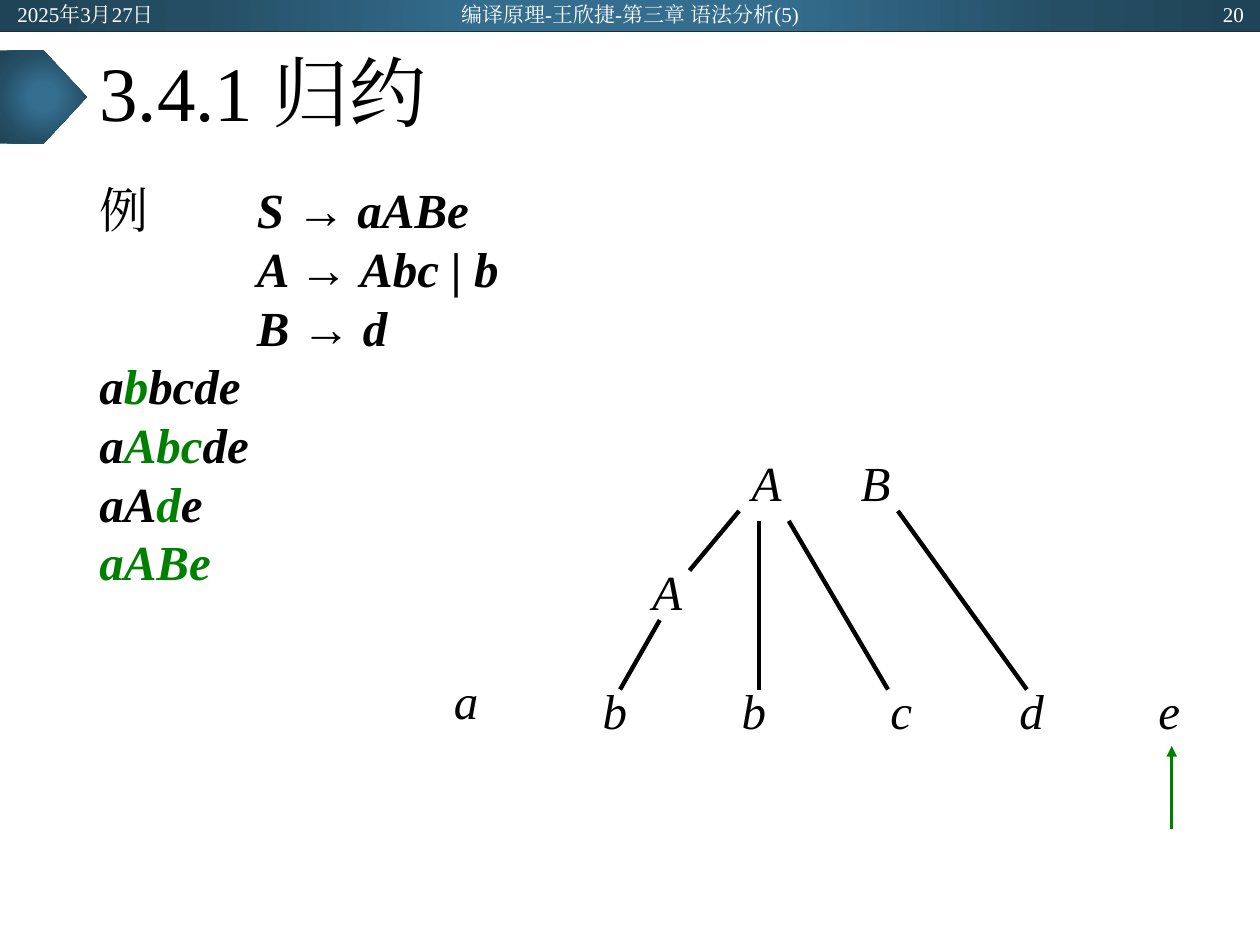
from lxml import etree
from pptx import Presentation
from pptx.dml.color import RGBColor
from pptx.enum.shapes import MSO_CONNECTOR, MSO_SHAPE
from pptx.enum.text import MSO_ANCHOR, PP_ALIGN
from pptx.oxml import parse_xml
from pptx.oxml.ns import nsdecls, qn
from pptx.util import Cm, Inches, Pt

BLACK = RGBColor(0, 0, 0)
WHITE = RGBColor(255, 255, 255)
GREEN = RGBColor(0, 0x80, 0)
NAVY = RGBColor(0x22, 0x2A, 0x35)
GLOW = [(0, RGBColor(0x34, 0x6D, 0x8E)), (23, RGBColor(0x34, 0x6D, 0x8E)),
        (69, RGBColor(0x25, 0x4E, 0x64)), (97, RGBColor(0x20, 0x44, 0x57))]
FACE = "Times New Roman"
CELL = Cm(0.2)  # side of one grid square of the tree

deck = Presentation()
deck.slide_width, deck.slide_height = Inches(10), Inches(7.5)
slide = deck.slides.add_slide(deck.slide_layouts[6])
shapes = slide.shapes
W, H = deck.slide_width, deck.slide_height


def add_text(box, lines, look, form, frame):
    """Add a text box; each line is a list of (text, changes to look)."""
    body = shapes.add_textbox(*[int(n) for n in box]).text_frame
    for key, val in {"word_wrap": True, **frame}.items():
        setattr(body, key, val)
    for row, line in enumerate(lines):
        para = body.add_paragraph() if row else body.paragraphs[0]
        for key, val in form.items():
            setattr(para, key, val)
        for text, change in line:
            run = para.add_run()
            run.text = text
            style = {"name": FACE, "color": BLACK, **look, **change}
            run.font.color.rgb = style.pop("color")
            for key, val in style.items():
                setattr(run.font, key, val)
            east = etree.SubElement(run.font._element, qn("a:ea"))
            east.set("typeface", FACE)
    return body


def add_line(ends, color, width):
    line = shapes.add_connector(MSO_CONNECTOR.STRAIGHT, *[int(n) for n in ends])
    line.line.color.rgb = color
    line.line.width = Pt(width)
    etree.SubElement(line._element.spPr, qn("a:effectLst"))
    return line


# Header band and title marker, lit from the centre
stops = "".join(f'<a:gs pos="{at * 1000}"><a:srgbClr val="{color}"/></a:gs>'
                for at, color in GLOW)
for kind, box in [(MSO_SHAPE.RECTANGLE, (0, 0, W, H / 30)),
                  (MSO_SHAPE.PENTAGON, (0, Inches(0.4), Inches(0.69), Inches(0.74)))]:
    shape = shapes.add_shape(kind, *[int(n) for n in box])
    shape.shadow.inherit = False
    shape.line.fill.background()
    shape._element.spPr.find(qn("a:prstGeom")).addnext(parse_xml(
        f'<a:gradFill {nsdecls("a")} rotWithShape="1"><a:gsLst>{stops}</a:gsLst>'
        '<a:path path="circle"><a:fillToRect l="50000" t="50000" r="50000" b="50000"/>'
        '</a:path></a:gradFill>'))
add_line((0, H / 30, W, H / 30), NAVY, 0.5)

# Title
middle = {"vertical_anchor": MSO_ANCHOR.MIDDLE}
left, wide = Inches(0.69), Inches(8.62)
add_text((left, H / 30, wide, Inches(1.04)), [[("3.4.1 归约", {})]],
         {"size": Pt(44)}, {"line_spacing": 0.9}, middle)

# Grammar rules, then the steps of the reduction
plain = {"bold": False, "italic": False}
flat, hot = {"italic": False}, {"color": GREEN}
steps = [
    [("例\t", plain), ("S ", {}), ("→ ", flat), ("aABe", {})],
    [("\tA ", {}), ("→ ", flat), ("Abc | b", {})],
    [("\tB ", {}), ("→ ", flat), ("d", {})],
    [("a", {}), ("b", hot), ("bcde", {})],
    [("a", {}), ("Abc", hot), ("de", {})],
    [("aA", {}), ("d", hot), ("e", {})],
    [("aABe", hot)],
]
body = add_text((left, Inches(1.38), wide, Inches(5.38)), steps,
                {"size": Pt(28), "bold": True, "italic": True},
                {"line_spacing": Pt(33.5)}, {})
for row, para in enumerate(body.paragraphs):
    hang = Inches(1.25 if row < 3 else 0.25)
    form = para._p.get_or_add_pPr()
    form.set("marL", str(hang))
    form.set("indent", str(-hang))
    if row:
        para.alignment = PP_ALIGN.JUSTIFY

# Tree nodes: text, column, row, width, height in grid squares
nodes = [("e", 116.5, 68.5, 6, 7), ("a", 45.5, 67.5, 5.2, 6.4),
         ("b", 60.5, 68.5, 6, 7), ("A", 65.5, 56.5, 7, 7),
         ("b", 74.5, 68.5, 5.2, 6.4), ("d", 102.5, 68.5, 5.2, 6.4),
         ("A", 75.5, 45.5, 5, 7), ("c", 89.5, 68.5, 7, 7),
         ("B", 86.5, 45.5, 5.8, 7)]
tight = {f"margin_{side}": Inches(gap) for side, gap in
         [("left", 0.02), ("right", 0.02), ("top", 0.01), ("bottom", 0.01)]}
for name, *box in nodes:
    add_text([n * CELL for n in box], [[(name, {})]],
             {"size": Pt(28), "italic": True},
             {"alignment": PP_ALIGN.JUSTIFY}, tight)

# Tree branches
for ends in [(62.5, 69.5, 66.5, 62.5), (69.5, 57.5, 74.5, 51.5),
             (76.5, 69.5, 76.5, 52.5), (79.5, 52.5, 89.5, 69.5),
             (90.5, 51.5, 103.5, 69.5)]:
    add_line([n * CELL for n in ends], BLACK, 2.5)

# Arrow at the current input symbol
arrow = add_line([n * CELL for n in (118.1, 83.6, 118.1, 75.2)], GREEN, 2)
etree.SubElement(arrow.line._get_or_add_ln(), qn("a:tailEnd")).set("type", "triangle")

# Header texts
for text, x, span, side in [
        ("2025年3月27日", 0.04, 2.25, PP_ALIGN.LEFT),
        ("编译原理-王欣捷-第三章 语法分析(5)", 3.31, 3.38, PP_ALIGN.CENTER),
        ("20", 7.72, 2.25, PP_ALIGN.RIGHT)]:
    add_text((Inches(x), Inches(0.01), Inches(span), Inches(0.2)), [[(text, {})]],
             {"size": Pt(12), "color": WHITE}, {"alignment": side}, middle)

deck.save("out.pptx")
